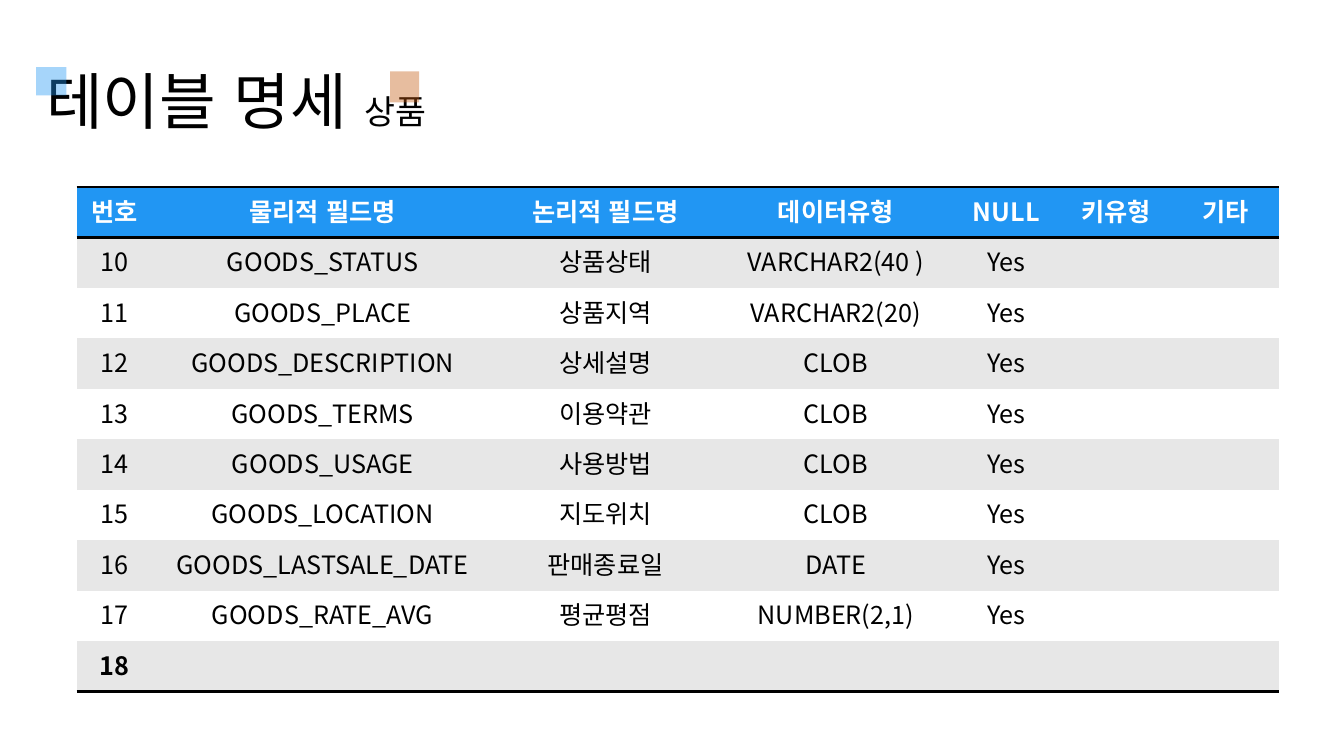
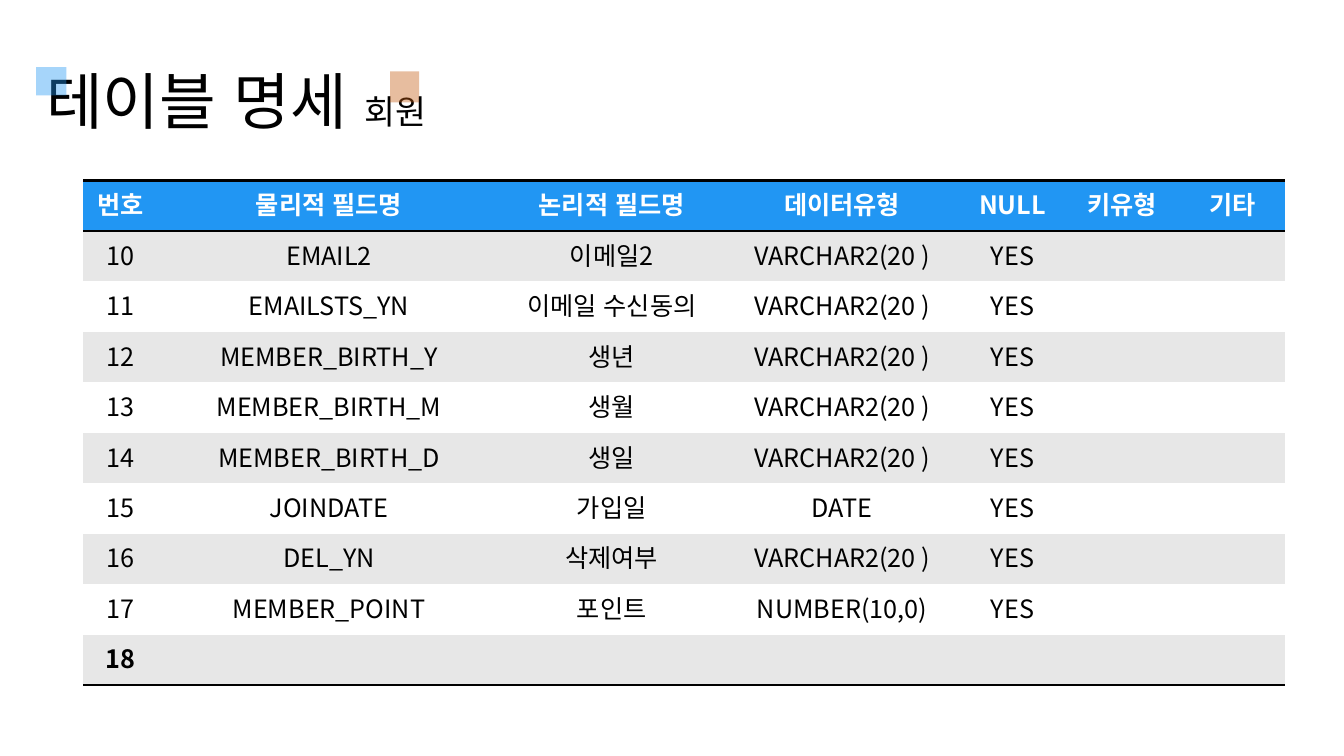
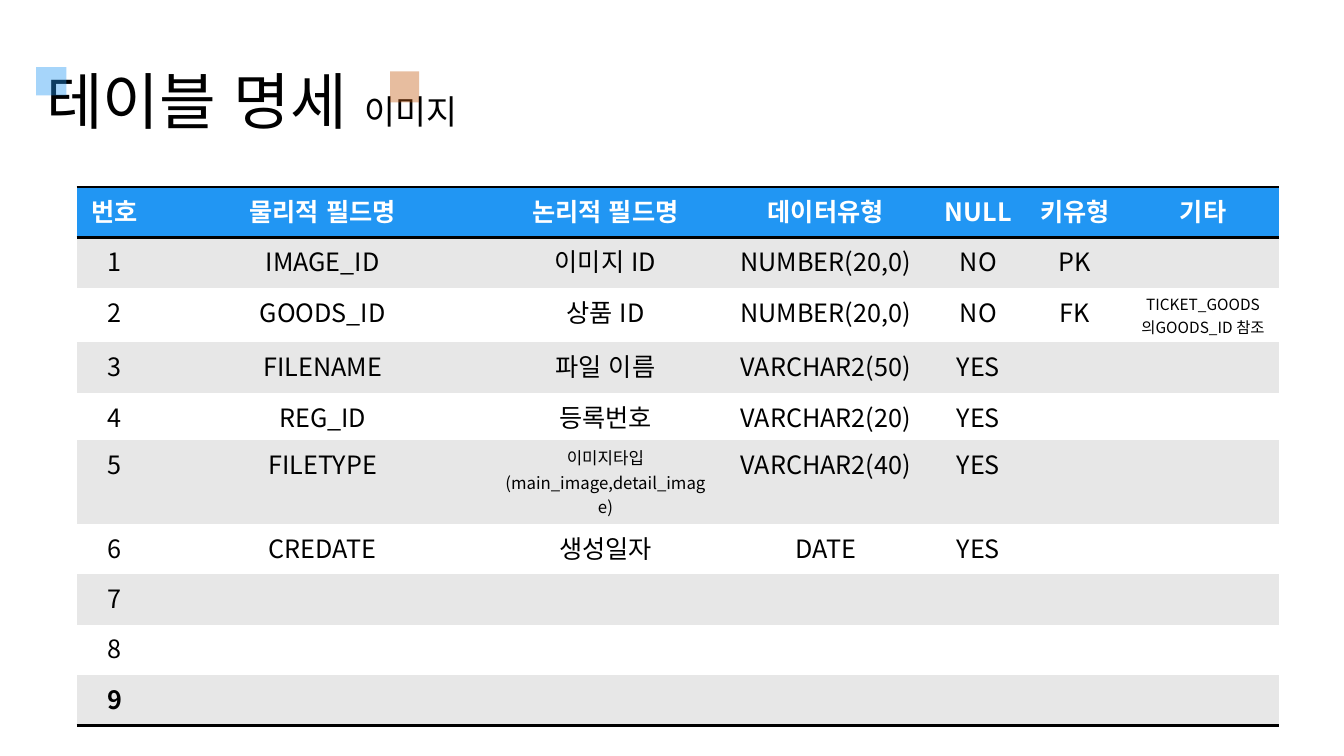
from lxml import etree
from pptx import Presentation
from pptx.dml.color import RGBColor
from pptx.enum import lang, shapes, text
from pptx.oxml import ns
from pptx.util import Pt

COLORS = {"blue": "2196F3", "orange": "C55A11", "black": "000000",
          "white": "FFFFFF", "gray": "E7E7E7"}
FONT = "Noto Sans CJK KR"
PLAIN_GRID = "{2D5ABB26-0587-4C30-8999-92F81FD0307C}"
TITLE_BOX = (25.9, 22.8, 828, 104.4)
HEADINGS = ["번호", "물리적 필드명", "논리적 필드명", "데이터유형", "NULL", "키유형", "기타"]
WIDE_TYPE = [54, 243.4, 160.6, 168.5, 75, 81.6, 75.8]
WIDE_NOTE = [54, 243.4, 160.6, 154.1, 64, 74.2, 108.7]
ROW_HEIGHT = 36.05

GOODS = [
    ["10", "GOODS_STATUS", "상품상태", "VARCHAR2(40 )", "Yes"],
    ["11", "GOODS_PLACE", "상품지역", "VARCHAR2(20)", "Yes"],
    ["12", "GOODS_DESCRIPTION", "상세설명", "CLOB", "Yes"],
    ["13", "GOODS_TERMS", "이용약관", "CLOB", "Yes"],
    ["14", "GOODS_USAGE", "사용방법", "CLOB", "Yes"],
    ["15", "GOODS_LOCATION", "지도위치", "CLOB", "Yes"],
    ["16", "GOODS_LASTSALE_DATE", "판매종료일", "DATE", "Yes"],
    ["17", "GOODS_RATE_AVG", "평균평점", "NUMBER(2,1)", "Yes"],
    ["18"],
]
MEMBERS = [
    ["10", "EMAIL2", "이메일2", "VARCHAR2(20 )", "YES"],
    ["11", "EMAILSTS_YN", "이메일 수신동의", "VARCHAR2(20 )", "YES"],
    ["12", "MEMBER_BIRTH_Y", "생년", "VARCHAR2(20 )", "YES"],
    ["13", "MEMBER_BIRTH_M", "생월", "VARCHAR2(20 )", "YES"],
    ["14", "MEMBER_BIRTH_D", "생일", "VARCHAR2(20 )", "YES"],
    ["15", "JOINDATE", "가입일", "DATE", "YES"],
    ["16", "DEL_YN", "삭제여부", "VARCHAR2(20 )", "YES"],
    ["17", "MEMBER_POINT", "포인트", "NUMBER(10,0)", "YES"],
    ["18"],
]
IMAGES = [
    ["1", "IMAGE_ID", "이미지 ID", "NUMBER(20,0)", "NO", "PK"],
    ["2", "GOODS_ID", "상품 ID", "NUMBER(20,0)", "NO", "FK", "TICKET_GOODS\n의GOODS_ID 참조"],
    ["3", "FILENAME", "파일 이름", "VARCHAR2(50)", "YES"],
    ["4", "REG_ID", "등록번호", "VARCHAR2(20)", "YES"],
    ["5", "FILETYPE", "이미지타입(main_image,detail_image)", "VARCHAR2(40)", "YES"],
    ["6", "CREDATE", "생성일자", "DATE", "YES"],
    ["7"],
    ["8"],
    ["9"],
]


def rgb(color):
    return RGBColor.from_string(COLORS[color])


def set_font(paragraph, size, color, bold=False):
    font = paragraph.font
    font.size, font.bold, font.name = Pt(size), bold, FONT
    font.color.rgb = rgb(color)
    font.language_id = lang.MSO_LANGUAGE_ID.KOREAN
    latin = paragraph._p.pPr.find(".//" + ns.qn("a:latin"))
    latin.addnext(etree.Element(ns.qn("a:ea"), typeface=FONT))


def add_square(slide, left, top, width, height, color):
    square = slide.shapes.add_shape(shapes.MSO_SHAPE.RECTANGLE,
                                    Pt(left), Pt(top), Pt(width), Pt(height))
    square.shadow.inherit = False
    square.line.fill.background()
    square.fill.solid()
    square.fill.fore_color.rgb = rgb(color)
    tint = square._element.spPr.find(".//" + ns.qn("a:srgbClr"))
    etree.SubElement(tint, ns.qn("a:alpha"), val="40000")


def add_title(slide, box, subject):
    left, top, width, height = box
    frame = slide.shapes.add_textbox(Pt(left), Pt(top), Pt(width), Pt(height)).text_frame
    frame.word_wrap = True
    frame.vertical_anchor = text.MSO_ANCHOR.MIDDLE
    title = frame.paragraphs[0]
    title.line_spacing = 0.9
    set_font(title, 44, "black")
    title.add_run().text = "테이블 명세 "
    subtitle = title.add_run()
    subtitle.text = subject
    subtitle.font.size = Pt(24)
    add_square(slide, left, top + 25.2, 21.6, 20.2, "blue")
    add_square(slide, left + 252.7, top + 28.1, 20.9, 22.3, "orange")


def add_rules(cell, sides):
    for position, side in enumerate(sides):
        rule = etree.Element(ns.qn(f"a:ln{side}"), w=str(Pt(2)))
        fill = etree.SubElement(rule, ns.qn("a:solidFill"))
        etree.SubElement(fill, ns.qn("a:srgbClr"), val=COLORS["black"])
        cell._tc.get_or_add_tcPr().insert(position, rule)


def write_value(cell, value, size, color, bold):
    paragraph = cell.text_frame.paragraphs[0]
    paragraph.alignment = text.PP_ALIGN.CENTER
    set_font(paragraph, size, color, bold)
    for number, line in enumerate(value.split("\n")):
        if number:
            paragraph.add_line_break()
            cell.margin_left = cell.margin_right = Pt(3)
        paragraph.add_run().text = line


def add_fields(slide, left, top, widths, fields, tall, small):
    rows = [HEADINGS] + fields
    last = len(fields)
    heights = [tall.get(r, ROW_HEIGHT) for r in range(len(rows))]
    table = slide.shapes.add_table(len(rows), len(widths), Pt(left), Pt(top),
                                   Pt(sum(widths)), Pt(sum(heights))).table
    table.first_row = table.horz_banding = False
    table._tbl.tblPr.find(ns.qn("a:tableStyleId")).text = PLAIN_GRID
    for column, width in zip(table.columns, widths):
        column.width = Pt(width)
    for r, values in enumerate(rows):
        table.rows[r].height = Pt(heights[r])
        for c in range(len(widths)):
            cell = table.cell(r, c)
            cell.fill.solid()
            cell.fill.fore_color.rgb = rgb("blue" if r == 0 else "gray" if r % 2 else "white")
            add_rules(cell, "TB" if r == 0 else "B" if r == last else "")
            if c < len(values):
                write_value(cell, values[c], small.get((r, c), 18),
                            "black" if r else "white", r in (0, last))


def add_spec_slide(deck, subject, left, top, widths, fields, tall={}, small={}):
    slide = deck.slides.add_slide(deck.slide_layouts[6])
    add_fields(slide, left, top, widths, fields, tall, small)
    add_title(slide, TITLE_BOX, subject)


def main():
    deck = Presentation()
    deck.slide_width, deck.slide_height = Pt(960), Pt(540)
    add_spec_slide(deck, "상품", 54.8, 133.6, WIDE_TYPE, GOODS)
    add_spec_slide(deck, "회원", 59.3, 129, WIDE_TYPE, MEMBERS)
    add_spec_slide(deck, "이미지", 54.8, 133.6, WIDE_NOTE, IMAGES,
                   tall={2: 39, 4: 33.8, 5: 59.7}, small={(2, 6): 11, (5, 2): 12})
    deck.save("out.pptx")


if __name__ == "__main__":
    main()
